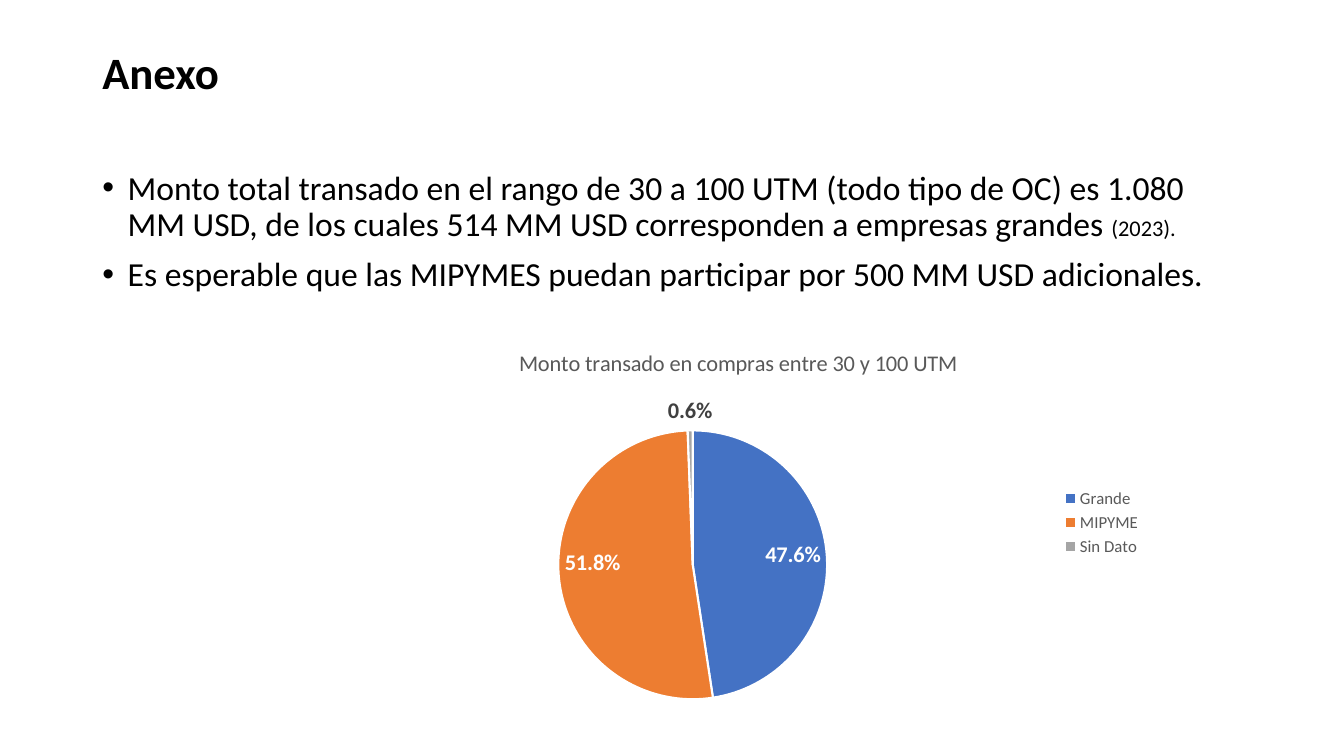
from lxml import etree
from pptx import Presentation
from pptx.chart.data import CategoryChartData
from pptx.dml.color import RGBColor
from pptx.enum.chart import XL_CHART_TYPE, XL_LABEL_POSITION, XL_LEGEND_POSITION
from pptx.enum.text import MSO_ANCHOR
from pptx.oxml import parse_xml
from pptx.oxml.ns import nsdecls, qn
from pptx.util import Cm, Pt

PIE = XL_CHART_TYPE.PIE
RIGHT = XL_LEGEND_POSITION.RIGHT
INSIDE = XL_LABEL_POSITION.INSIDE_END
OUTSIDE = XL_LABEL_POSITION.OUTSIDE_END
MIDDLE = MSO_ANCHOR.MIDDLE

FONT = "Calibri"
COLORS = {
    "text": "000000", "muted": "595959", "label": "404040", "white": "FFFFFF",
    "Grande": "4472C4", "MIPYME": "ED7D31", "Sin Dato": "A5A5A5",
}
SHARES = {"Grande": 0.476, "MIPYME": 0.518, "Sin Dato": 0.006}
POINTS = [
    [("Monto total transado en el rango de 30 a 100 UTM (todo tipo de OC) es 1.080 "
      "MM USD, de los cuales 514 MM USD corresponden a empresas grandes ", 24),
     ("(2023).", 16)],
    [("Es esperable que las MIPYMES puedan participar por 500 MM USD adicionales.", 24)],
]


def color(name):
    return RGBColor.from_string(COLORS[name])


def style(font, size, tone, bold=False):
    font.name = FONT
    font.size = Pt(size)
    font.bold = bold
    font.color.rgb = color(tone)


def add_frame(slide, box):
    frame = slide.shapes.add_textbox(*box).text_frame
    frame.word_wrap = True
    return frame


def add_title(slide, box):
    frame = add_frame(slide, box)
    frame.vertical_anchor = MIDDLE
    frame.text = "Anexo"
    para = frame.paragraphs[0]
    para.line_spacing = 0.9
    style(para.runs[0].font, 32, "text", True)


def add_bullet(para):
    props = para._p.get_or_add_pPr()
    props.set("marL", str(Cm(0.64)))
    props.set("indent", str(-Cm(0.64)))
    etree.SubElement(props, qn("a:buFont")).set("typeface", "Arial")
    etree.SubElement(props, qn("a:buChar")).set("char", "•")


def add_body(slide, box):
    frame = add_frame(slide, box)
    for i, parts in enumerate(POINTS):
        para = frame.add_paragraph() if i else frame.paragraphs[0]
        para.line_spacing = 0.9
        para.space_before = Pt(10)
        add_bullet(para)
        for text, size in parts:
            run = para.add_run()
            run.text = text
            style(run.font, size, "text")


def place_plot(chart, **spots):
    """Fix the inner plot area, in fractions of the chart."""
    area = chart._chartSpace.chart.plotArea
    for old in area.findall(qn("c:layout")):
        area.remove(old)
    modes = '<c:xMode val="edge"/><c:yMode val="edge"/>'
    sizes = "".join(f'<c:{key} val="{val}"/>' for key, val in spots.items())
    area.insert(0, parse_xml(
        f'<c:layout {nsdecls("c")}><c:manualLayout><c:layoutTarget val="inner"/>'
        f'{modes}{sizes}</c:manualLayout></c:layout>'))


def add_pie(slide, box):
    data = CategoryChartData(number_format="0.0%")
    data.categories = list(SHARES)
    data.add_series("Series 1", list(SHARES.values()))
    chart = slide.shapes.add_chart(PIE, *box, data).chart
    style(chart.font, 10, "text")

    chart.has_title = True
    frame = chart.chart_title.text_frame
    frame.text = "Monto transado en compras entre 30 y 100 UTM"
    style(frame.paragraphs[0].runs[0].font, 16, "muted")
    chart.chart_title.include_in_layout = False

    chart.has_legend = True
    chart.legend.position = RIGHT
    chart.legend.include_in_layout = False
    style(chart.legend.font, 12, "muted")

    plot = chart.plots[0]
    plot.vary_by_categories = True
    plot.has_data_labels = True
    labels = plot.series[0].data_labels
    labels.show_value = True
    labels.show_percentage = False
    labels.number_format = "0.0%"
    labels.number_format_is_linked = False
    labels.position = OUTSIDE
    style(labels.font, 16, "label", True)

    for i, (name, share) in enumerate(SHARES.items()):
        point = plot.series[0].points[i]
        point.format.fill.solid()
        point.format.fill.fore_color.rgb = color(name)
        point.format.line.color.rgb = color("white")
        point.format.line.width = Pt(1.5)
        if share > 0.1:
            style(point.data_label.font, 16, "white", True)
            point.data_label.position = INSIDE
    place_plot(chart, x=0.28, y=0.26, w=0.33, h=0.7)


def main():
    deck = Presentation()
    deck.slide_width, deck.slide_height = Cm(33.87), Cm(19.05)
    slide = deck.slides.add_slide(deck.slide_layouts[6])
    add_title(slide, (Cm(2.33), Cm(1.02), Cm(4.3), Cm(1.75)))
    add_body(slide, (Cm(2.33), Cm(4.19), Cm(29.21), Cm(12.09)))
    add_pie(slide, (Cm(8.18), Cm(8.33), Cm(20.85), Cm(9.68)))
    deck.save("out.pptx")


if __name__ == "__main__":
    main()
